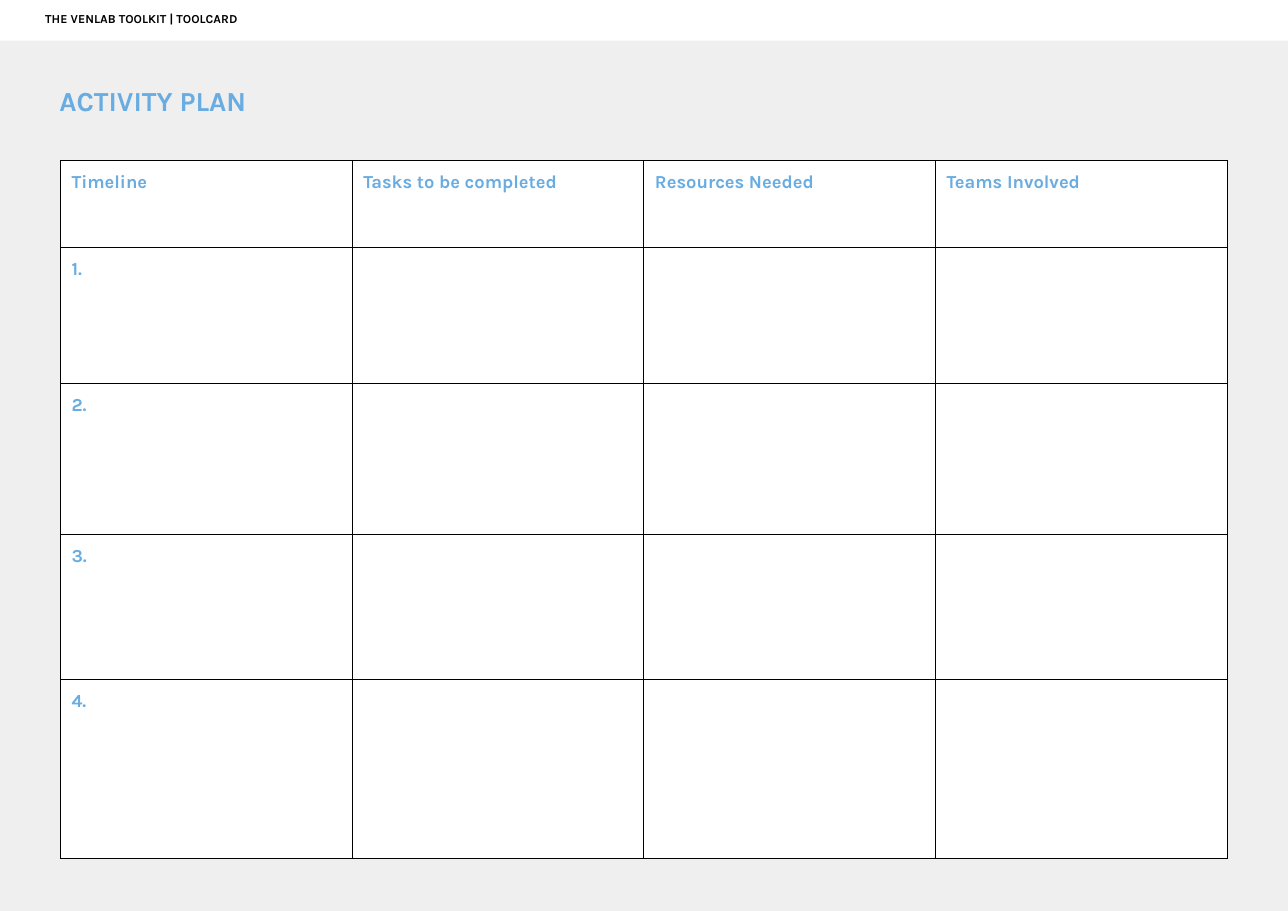
from pptx import Presentation
from pptx.dml.color import RGBColor
from pptx.enum.shapes import MSO_SHAPE as Shape
from pptx.enum.text import MSO_ANCHOR as Anchor, MSO_AUTO_SIZE as AutoSize, PP_ALIGN as Align
from pptx.oxml import parse_xml
from pptx.oxml.ns import nsdecls
from pptx.util import Inches, Pt

WHITE, GREY, BLACK, BLUE = "FFFFFF", "EFEFEF", "000000", "68ACE1"
HEADINGS = ["Timeline", "Tasks to be completed", "Resources Needed", "Teams Involved"]
STEPS = ["1.", "2.", "3.", "4."]
COLUMN_WIDTH = 22.65
ROW_HEIGHTS = [9.55, 15, 16.5, 16, 19.6]


def color(value):
    return RGBColor.from_string(value)


class ToolCard:
    """Draws on one slide; every place is a percentage of the slide's size."""
    font_name = "Karla"
    inset = Inches(0.1)
    border_width = Pt(0.75)

    def __init__(self, deck):
        self.width, self.height = deck.slide_width, deck.slide_height
        self.page = deck.slides.add_slide(deck.slide_layouts[5])

    def across(self, percent):
        return round(self.width * percent / 100)

    def down(self, percent):
        return round(self.height * percent / 100)

    def frame(self, left, top, width, height):
        return self.across(left), self.down(top), self.across(width), self.down(height)

    def bold_text(self, text_frame, text, size, ink):
        """Fills the text frame of a shape or table cell with one bold line."""
        text_frame.text = text
        para = text_frame.paragraphs[0]
        para.alignment = Align.LEFT
        for span in para.runs:
            span.font.name = self.font_name
            span.font.size = Pt(size)
            span.font.bold = True
            span.font.color.rgb = color(ink)

    def line_of_text(self, box, text, size, ink, indent):
        text_frame = box.text_frame
        self.bold_text(text_frame, text, size, ink)
        text_frame.word_wrap = True
        text_frame.auto_size = AutoSize.NONE
        text_frame.vertical_anchor = Anchor.TOP
        text_frame.margin_top = text_frame.margin_right = self.inset
        text_frame.margin_bottom = self.inset
        text_frame.margin_left = self.inset + Inches(indent)

    def band(self, place, fill):
        box = self.page.shapes.add_shape(Shape.RECTANGLE, *self.frame(*place))
        box.shadow.inherit = False
        box.fill.solid()
        box.fill.fore_color.rgb = color(fill)
        box.line.fill.background()
        return box

    def title(self, place, text):
        box = self.page.shapes.title
        box.left, box.top, box.width, box.height = self.frame(*place)
        self.line_of_text(box, text, 18, BLUE, indent=0.38)
        self.page.shapes._spTree.append(box._element)  # in front of the backdrop

    def border(self, cell):
        properties = cell._tc.get_or_add_tcPr()
        for side in "LRTB":
            properties.append(parse_xml(
                f'<a:ln{side} {nsdecls("a")} w="{self.border_width}"><a:solidFill>'
                f'<a:srgbClr val="{BLACK}"/></a:solidFill></a:ln{side}>'))

    def table(self, left, top, rows, column_width, row_heights):
        columns = len(rows[0])
        place = self.frame(left, top, column_width * columns, sum(row_heights))
        table = self.page.shapes.add_table(len(rows), columns, *place).table
        for column in table.columns:
            column.width = self.across(column_width)
        for row, height, texts in zip(table.rows, row_heights, rows):
            row.height = self.down(height)
            for cell, text in zip(row.cells, texts):
                self.border(cell)
                cell.fill.solid()
                cell.fill.fore_color.rgb = color(WHITE)
                cell.margin_left = cell.margin_right = self.inset
                cell.margin_top = cell.margin_bottom = self.inset
                if text:
                    self.bold_text(cell.text_frame, text, 12, BLUE)


def main():
    deck = Presentation()
    deck.slide_width, deck.slide_height = Inches(11.69), Inches(8.27)
    card = ToolCard(deck)
    card.band((0, 0, 100, 100), GREY)
    rows = [HEADINGS] + [[step, "", "", ""] for step in STEPS]
    card.table(4.7, 17.6, rows, COLUMN_WIDTH, ROW_HEIGHTS)
    card.title((0.5, 8, 56.8, 6.2), "ACTIVITY PLAN")
    header = card.band((0, 0, 100, 4.45), WHITE)
    card.line_of_text(header, "THE VENLAB TOOLKIT | TOOLCARD", 8, BLACK, indent=0.31)
    deck.save("out.pptx")


if __name__ == "__main__":
    main()
